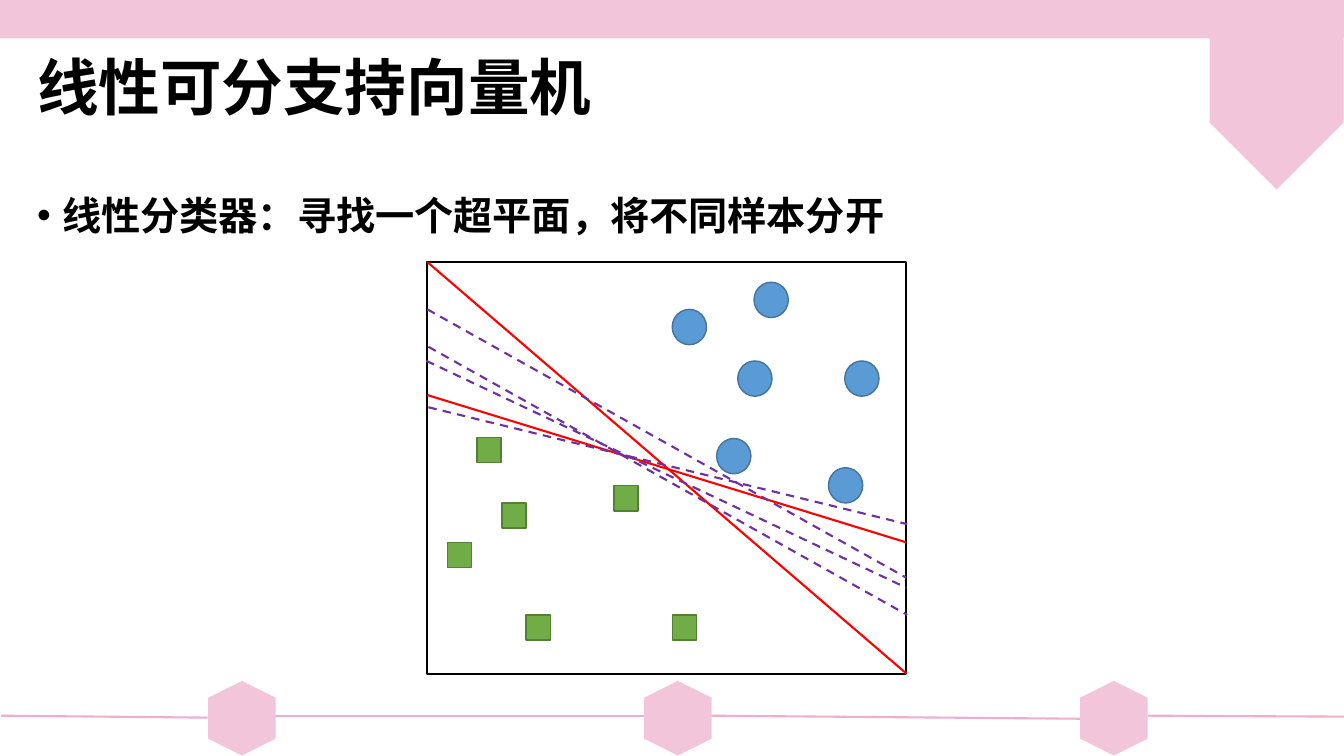
from lxml.etree import SubElement
from pptx import Presentation
from pptx.dml.color import RGBColor
from pptx.enum.dml import MSO_LINE
from pptx.enum.shapes import MSO_CONNECTOR, MSO_SHAPE
from pptx.enum.text import MSO_ANCHOR
from pptx.oxml.ns import qn
from pptx.util import Pt

COLORS = {
    "band": "F3C5DA",
    "rail": "EFAFCC",
    "ink": "000000",
    "circle": "5B9BD5",
    "circle_edge": "43739E",
    "square": "70AD47",
    "square_edge": "538035",
    "solid_plane": "FF0000",
    "dashed_plane": "7030A0",
}
CJK_FONT = "Noto Sans CJK SC"

RAILS = [
    (0.7, 511.2, 148.3, 512.6),
    (196.6, 511.2, 460.1, 511.2),
    (507.6, 511.2, 771.8, 513.4),
    (820.1, 511.2, 960, 511.9),
]
CIRCLES = [(538.6, 201.6), (603.4, 257.8), (480.2, 221),
           (527, 257.8), (511.9, 313.2), (591.8, 334.1)]
SQUARES = [(340.6, 312.5), (438.5, 347), (319.7, 387.4),
           (358.6, 359.3), (375.8, 439.2), (480.2, 439.2)]
SOLID_PLANES = [(305.3, 282.2, 647.3, 387.4), (305.3, 187.2, 647.3, 481)]
DASHED_PLANES = [
    (305.3, 221, 647.3, 412.6),
    (306, 247.7, 648, 439.2),
    (304.6, 257.8, 647.3, 419.8),
    (306, 290.9, 648, 374.4),
]


def rgb(name):
    return RGBColor.from_string(COLORS[name])


def add_block(slide, kind, left, top, width, height,
              fill=None, edge=None, edge_width=1, rotation=0):
    block = slide.shapes.add_shape(kind, Pt(left), Pt(top), Pt(width), Pt(height))
    block.shadow.inherit = False
    block.rotation = rotation
    if fill:
        block.fill.solid()
        block.fill.fore_color.rgb = rgb(fill)
    else:
        block.fill.background()
    if edge:
        block.line.color.rgb = rgb(edge)
        block.line.width = Pt(edge_width)
    else:
        block.line.fill.background()


def add_line(slide, ends, color, dash=None):
    line = slide.shapes.add_connector(MSO_CONNECTOR.STRAIGHT, *map(Pt, ends))
    line.line.color.rgb = rgb(color)
    line.line.width = Pt(1.5)
    if dash:
        line.line.dash_style = dash
    SubElement(line._element.spPr, qn("a:effectLst"))


def add_text(slide, text, left, top, width, height, size, latin=CJK_FONT,
             anchor=MSO_ANCHOR.TOP, spacing=1.0, bullet=None):
    frame = slide.shapes.add_textbox(Pt(left), Pt(top), Pt(width), Pt(height)).text_frame
    frame.word_wrap = True
    frame.vertical_anchor = anchor
    paragraph = frame.paragraphs[0]
    if bullet:
        properties = paragraph._p.get_or_add_pPr()
        properties.set("marL", str(Pt(18)))
        properties.set("indent", str(-Pt(18)))
        SubElement(properties, qn("a:buFont"), typeface="Arial")
        SubElement(properties, qn("a:buChar"), char=bullet)
    paragraph.line_spacing = spacing
    run = paragraph.add_run()
    run.text = text
    run.font.size = Pt(size)
    run.font.bold = True
    run.font.color.rgb = rgb("ink")
    run.font.name = latin
    SubElement(run._r.get_or_add_rPr(), qn("a:ea"), typeface=CJK_FONT)


def add_decoration(slide):
    for rail in RAILS:
        add_line(slide, rail, "rail")
    for index in range(3):
        add_block(slide, MSO_SHAPE.HEXAGON, 146.2 + index * 311.4, 488.9, 53.3, 48.2,
                  fill="band", rotation=270)
    add_block(slide, MSO_SHAPE.RECTANGLE, 0, -1.4, 960, 28.8, fill="band")
    add_block(slide, MSO_SHAPE.PENTAGON, 846, 21.6, 131.8, 95.8,
              fill="band", rotation=90)


def add_scatter(slide):
    add_block(slide, MSO_SHAPE.RECTANGLE, 305.3, 187.2, 342, 294.5,
              edge="ink", edge_width=1.5)
    for left, top in CIRCLES:
        add_block(slide, MSO_SHAPE.OVAL, left, top, 24.5, 25.2,
                  fill="circle", edge="circle_edge")
    for left, top in SQUARES:
        add_block(slide, MSO_SHAPE.RECTANGLE, left, top, 17.3, 18,
                  fill="square", edge="square_edge")
    for plane in SOLID_PLANES:
        add_line(slide, plane, "solid_plane")
    for plane in DASHED_PLANES:
        add_line(slide, plane, "dashed_plane", dash=MSO_LINE.DASH)


def main():
    deck = Presentation()
    deck.slide_width, deck.slide_height = Pt(960), Pt(540)
    slide = deck.slides.add_slide(deck.slide_layouts[6])
    add_decoration(slide)
    add_text(slide, "线性可分支持向量机", 19.4, 12.2, 828, 104.4, 44,
             anchor=MSO_ANCHOR.MIDDLE, spacing=0.9)
    add_text(slide, "线性分类器：寻找一个超平面，将不同样本分开",
             19.4, 116.6, 918, 377.3, 28, latin="Times New Roman",
             spacing=1.5, bullet="•")
    add_scatter(slide)
    deck.save("out.pptx")


if __name__ == "__main__":
    main()
